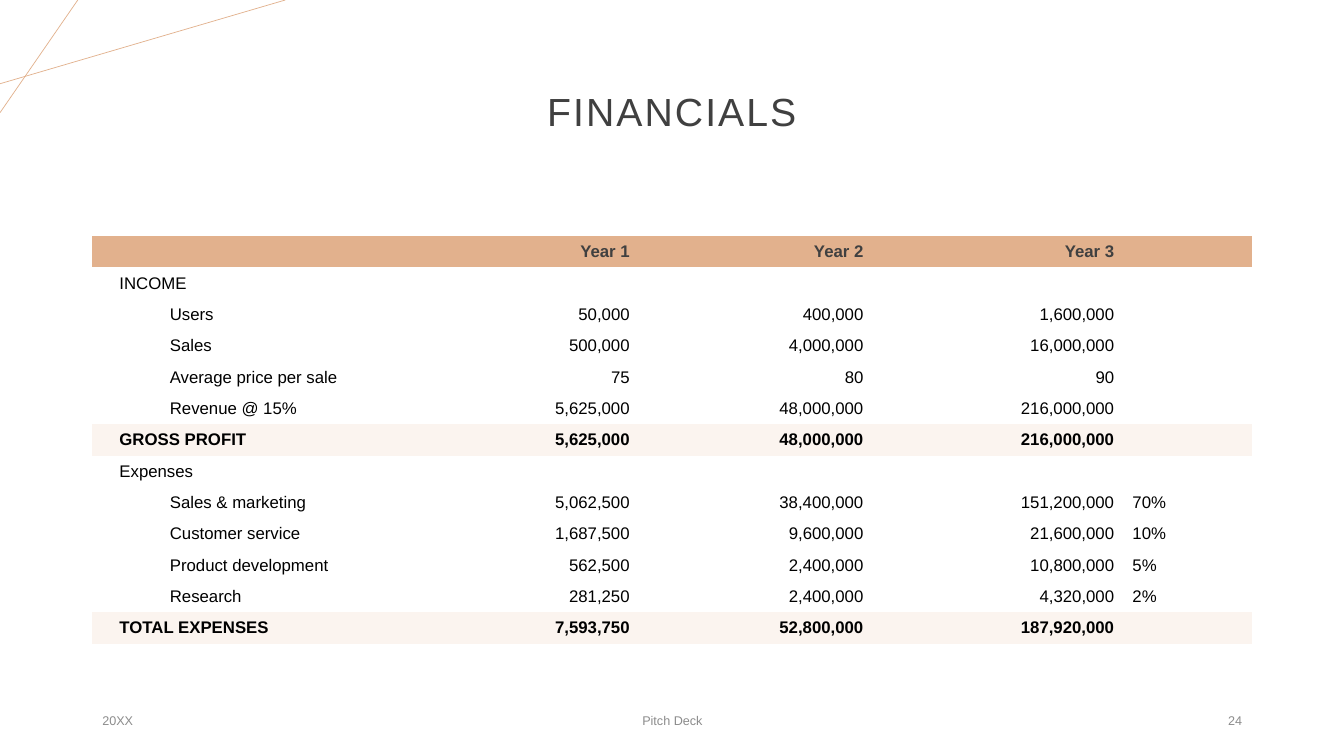
from lxml import etree
from pptx import Presentation
from pptx.dml.color import RGBColor
from pptx.enum.shapes import MSO_CONNECTOR
from pptx.enum.text import MSO_ANCHOR, PP_ALIGN
from pptx.oxml.ns import qn
from pptx.util import Cm, Pt

LEFT, CENTER, RIGHT = PP_ALIGN.LEFT, PP_ALIGN.CENTER, PP_ALIGN.RIGHT
MIDDLE = MSO_ANCHOR.MIDDLE
STRAIGHT = MSO_CONNECTOR.STRAIGHT

TAN = RGBColor(0xE2, 0xB1, 0x8D)
CREAM = RGBColor(0xFB, 0xF4, 0xEF)
CHARCOAL = RGBColor(0x40, 0x40, 0x40)
GRAY = RGBColor(0x8C, 0x8C, 0x8C)
BLACK = RGBColor(0, 0, 0)

FONT = "Arial"
PLAIN_TABLE_STYLE = "{2D5ABB26-0587-4C30-8999-92F81FD0307C}"

TITLE = "FINANCIALS"
# text, left, width, alignment
FOOTERS = [
    ("20XX", 2.33, 7.62, LEFT),
    ("Pitch Deck", 11.23, 11.43, CENTER),
    ("24", 23.93, 7.62, RIGHT),
]
# start x, start y, end x, end y
CORNER_LINES = [(0, 2.11, 7.19, 0), (1.96, 0, 0, 2.84)]

# row kind, cell texts
FINANCIALS = [
    ("header", ["", "Year 1", "Year 2", "Year 3", ""]),
    ("section", ["INCOME", "", "", "", ""]),
    ("item", ["Users", "50,000", "400,000", "1,600,000", ""]),
    ("item", ["Sales", "500,000", "4,000,000", "16,000,000", ""]),
    ("item", ["Average price per sale", "75", "80", "90", ""]),
    ("item", ["Revenue @ 15%", "5,625,000", "48,000,000", "216,000,000", ""]),
    ("total", ["GROSS PROFIT", "5,625,000", "48,000,000", "216,000,000", ""]),
    ("section", ["Expenses", "", "", "", ""]),
    ("item", ["Sales & marketing", "5,062,500", "38,400,000", "151,200,000", "70%"]),
    ("item", ["Customer service", "1,687,500", "9,600,000", "21,600,000", "10%"]),
    ("item", ["Product development", "562,500", "2,400,000", "10,800,000", "5%"]),
    ("item", ["Research", "281,250", "2,400,000", "4,320,000", "2%"]),
    ("total", ["TOTAL EXPENSES", "7,593,750", "52,800,000", "187,920,000", ""]),
]
COLUMN_WIDTHS = [8.99, 4.78, 5.89, 6.32, 3.25]
COLUMN_ALIGNMENTS = [LEFT, RIGHT, RIGHT, RIGHT, LEFT]
ROW_HEIGHT = 0.79
TABLE_LEFT, TABLE_TOP = 2.33, 5.95
TABLE_TEXT_SIZE = 12

ROW_FILLS = {"header": TAN, "total": CREAM}
PLAIN_TEXT = {"size": Pt(TABLE_TEXT_SIZE), "color": BLACK, "bold": False}
ROW_TEXT = {
    "header": {**PLAIN_TEXT, "color": CHARCOAL, "bold": True},
    "section": PLAIN_TEXT,
    "item": PLAIN_TEXT,
    "total": {**PLAIN_TEXT, "bold": True},
}
CELL_MARGINS = {"margin_left": Cm(0.23), "margin_right": Cm(0.23),
                "margin_top": Cm(0.11), "margin_bottom": Cm(0.11)}
LABEL_MARGIN = Cm(0.68)
ITEM_INDENT = Cm(1.27)


def set_all(target, values):
    for name, value in values.items():
        setattr(target, name, value)


def add_span(para, text, color, **font_values):
    span = para.add_run()
    span.text = text
    set_all(span.font, {"name": FONT, **font_values})
    span.font.color.rgb = color
    return span


def add_text(page, text, left, top, width, height, alignment, color, size):
    box = page.shapes.add_textbox(Cm(left), Cm(top), Cm(width), Cm(height))
    set_all(box.text_frame, {"word_wrap": True, "vertical_anchor": MIDDLE})
    para = box.text_frame.paragraphs[0]
    para.alignment = alignment
    return para, add_span(para, text, color, size=Pt(size))


def add_corner_line(page, ends):
    line = page.shapes.add_connector(STRAIGHT, *[Cm(end) for end in ends])
    line.line.color.rgb = TAN
    line.line.width = Pt(0.5)
    etree.SubElement(line._element.spPr, qn("a:effectLst"))


def fill_cell(cell, kind, column, text):
    set_all(cell, {**CELL_MARGINS, "vertical_anchor": MIDDLE})
    if kind in ROW_FILLS:
        cell.fill.solid()
        cell.fill.fore_color.rgb = ROW_FILLS[kind]
    else:
        cell.fill.background()
    para = cell.text_frame.paragraphs[0]
    para.alignment = COLUMN_ALIGNMENTS[column]
    if column == 0:
        cell.margin_left = LABEL_MARGIN
        if kind == "item":
            para.level = 1
            set_all_xml = para._p.get_or_add_pPr()
            set_all_xml.set("marL", str(ITEM_INDENT))
            set_all_xml.set("indent", "0")
    if text:
        add_span(para, text, **ROW_TEXT[kind])
    else:  # keeps an empty cell from stretching its row
        etree.SubElement(para._p, qn("a:endParaRPr"), sz=str(TABLE_TEXT_SIZE * 100))


def add_financials(page):
    frame = page.shapes.add_table(
        len(FINANCIALS), len(COLUMN_WIDTHS), Cm(TABLE_LEFT), Cm(TABLE_TOP),
        Cm(sum(COLUMN_WIDTHS)), Cm(ROW_HEIGHT * len(FINANCIALS)))
    table = frame.table
    table.horz_banding = False
    table._tbl.tblPr.find(qn("a:tableStyleId")).text = PLAIN_TABLE_STYLE
    for column, width in zip(table.columns, COLUMN_WIDTHS):
        column.width = Cm(width)
    for row, (kind, texts) in zip(table.rows, FINANCIALS):
        row.height = Cm(ROW_HEIGHT)
        for column, text in enumerate(texts):
            fill_cell(row.cells[column], kind, column, text)


def main():
    deck = Presentation()
    deck.slide_width, deck.slide_height = Cm(33.87), Cm(19.05)
    page = deck.slides.add_slide(deck.slide_layouts[6])
    for ends in CORNER_LINES:
        add_corner_line(page, ends)
    para, span = add_text(page, TITLE, 2.33, 1.02, 29.21, 3.68, CENTER, CHARCOAL, 28)
    para.line_spacing = 0.9
    span.font._element.set("spc", "150")
    for text, left, width, alignment in FOOTERS:
        add_text(page, text, left, 17.65, width, 1.02, alignment, GRAY, 9)
    add_financials(page)
    deck.save("out.pptx")


if __name__ == "__main__":
    main()
